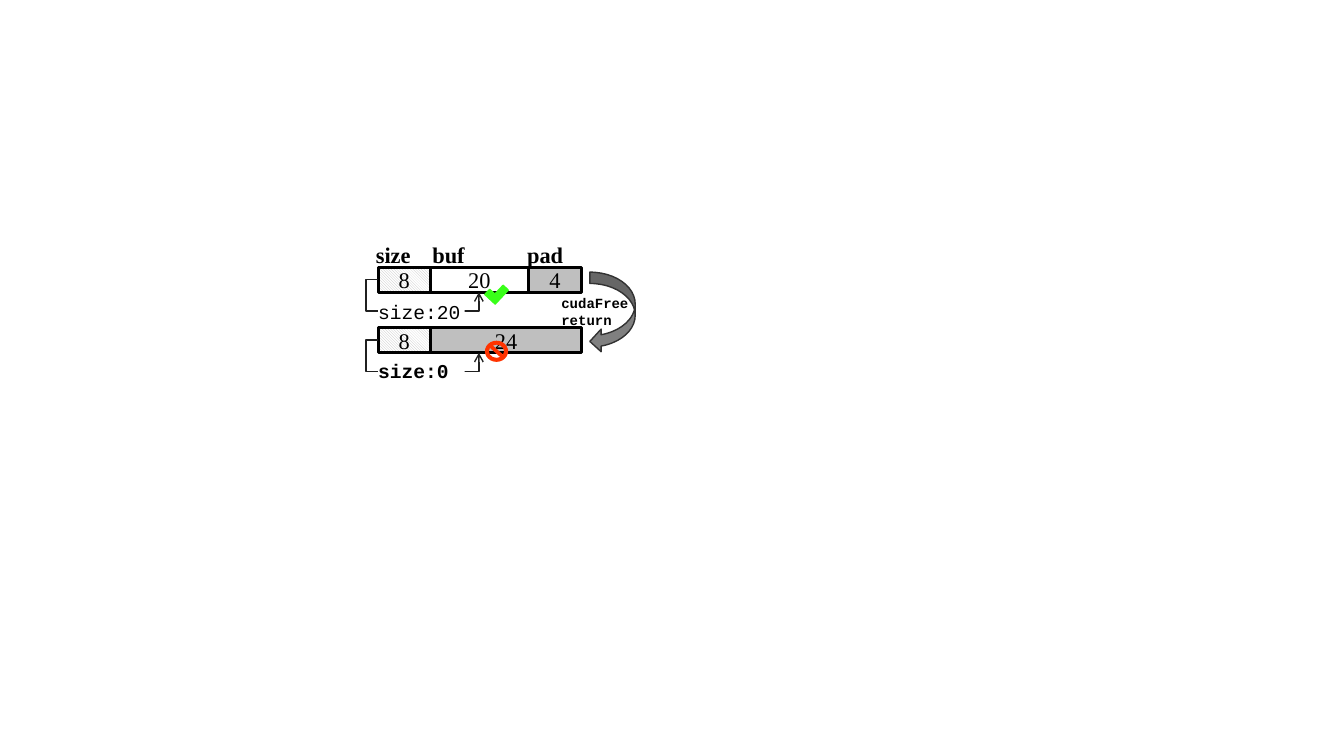
from lxml import etree
from pptx import Presentation
from pptx.dml.color import RGBColor
from pptx.enum.dml import MSO_PATTERN
from pptx.enum.shapes import MSO_CONNECTOR, MSO_SHAPE
from pptx.enum.text import MSO_ANCHOR, PP_ALIGN
from pptx.oxml.ns import qn
from pptx.util import Inches, Pt

BLACK = RGBColor(0x00, 0x00, 0x00)
WHITE = RGBColor(0xFF, 0xFF, 0xFF)
LIGHT_GRAY = RGBColor(0xBF, 0xBF, 0xBF)
MID_GRAY = RGBColor(0x80, 0x80, 0x80)
DARK_GRAY = RGBColor(0x32, 0x32, 0x32)
POINTER = RGBColor(0x20, 0x20, 0x20)
GREEN = RGBColor(0x39, 0xFF, 0x19)
RED = RGBColor(0xFF, 0x33, 0x00)

SERIF, MONO = "Times New Roman", "Courier New"
HATCHED = "hatched"

LEFT, TOP = 3.75, 2.65
ROW_HEIGHT, ROW_PITCH = 0.25, 0.6
SIZE_WIDTH, BUF_WIDTH, PAD_WIDTH = 0.52, 0.97, 0.53


def add_shape(page, kind, box, fill, line=None, weight=1):
    shape = page.shapes.add_shape(kind, *map(Inches, box))
    shape.shadow.inherit = False
    if fill == HATCHED:
        shape.fill.patterned()
        shape.fill.pattern = MSO_PATTERN.LIGHT_DOWNWARD_DIAGONAL
        shape.fill.fore_color.rgb = LIGHT_GRAY
        shape.fill.back_color.rgb = WHITE
    else:
        shape.fill.solid()
        shape.fill.fore_color.rgb = fill
    if line is None:
        shape.line.fill.background()
    else:
        shape.line.color.rgb = line
        shape.line.width = Pt(weight)
    return shape


def write(shape, lines, size, font, bold=False, align=PP_ALIGN.LEFT):
    frame = shape.text_frame
    frame.word_wrap = True
    frame.text = "\n".join(lines)
    for para in frame.paragraphs:
        para.alignment = align
        para.font.size = Pt(size)
        para.font.name = font
        para.font.bold = bold
        para.font.color.rgb = BLACK


def add_text(page, box, lines, size, font):
    write(page.shapes.add_textbox(*map(Inches, box)), lines, size, font, bold=True)


def add_pointer(page, left, top):
    """Arrow from the size cell, round below the row, up to the buffer's edge."""
    pointer = page.shapes.add_connector(
        MSO_CONNECTOR.ELBOW, Inches(left), Inches(top + ROW_HEIGHT / 2),
        Inches(left + 1), Inches(top + ROW_HEIGHT))
    pointer.line.color.rgb = POINTER
    pointer.line.width = Pt(1)
    properties = pointer._element.spPr
    geometry = properties.find(qn("a:prstGeom"))
    geometry.set("prst", "bentConnector4")
    guides = geometry.get_or_add_avLst()
    for name, value in (("adj1", -12000), ("adj2", 247000)):
        etree.SubElement(guides, qn("a:gd"), name=name, fmla=f"val {value}")
    etree.SubElement(properties.find(qn("a:ln")), qn("a:tailEnd"), type="arrow")
    etree.SubElement(properties, qn("a:effectLst"))


def add_memory_row(page, left, top, cells, label, label_drop, bold):
    cell_left = left
    for text, width, fill in cells:
        cell = add_shape(page, MSO_SHAPE.RECTANGLE,
                         (cell_left, top, width, ROW_HEIGHT), fill, BLACK, 2)
        cell.text_frame.vertical_anchor = MSO_ANCHOR.MIDDLE
        write(cell, [text], 16, SERIF, align=PP_ALIGN.CENTER)
        cell_left += width
    add_pointer(page, left, top)
    tag = add_shape(page, MSO_SHAPE.RECTANGLE,
                    (left, top + label_drop, 0.86, 0.24), WHITE)
    frame = tag.text_frame
    frame.margin_left = frame.margin_right = frame.margin_top = frame.margin_bottom = 0
    frame.vertical_anchor = MSO_ANCHOR.TOP
    write(tag, [label], 14, MONO, bold)


def add_headings(page, left, top):
    for text, offset, width in (("size", -0.12, 0.6), ("buf", 0.44, 0.56),
                                ("pad", 1.38, 0.74)):
        add_text(page, (left + offset, top - 0.31, width, 0.37), [text], 16, SERIF)


def add_marks(page, left, top):
    add_shape(page, MSO_SHAPE.NO_SYMBOL,
              (left + 1.06, top + ROW_PITCH + 0.13, 0.23, 0.21), RED)
    check = add_shape(page, MSO_SHAPE.CORNER,
                      (left + 1.08, top + 0.18, 0.19, 0.14), GREEN, GREEN)
    check.rotation = 313


def add_free_step(page, left, top):
    add_shape(page, MSO_SHAPE.CURVED_LEFT_ARROW,
              (left + 2.1, top + 0.05, 0.45, 0.8), MID_GRAY, DARK_GRAY)
    add_text(page, (left + 1.72, top + 0.22, 1.74, 0.44),
             ["cudaFree", "return"], 10, MONO)


def main():
    deck = Presentation()
    deck.slide_width, deck.slide_height = Inches(13.33), Inches(7.5)
    page = deck.slides.add_slide(deck.slide_layouts[6])
    size_cell = ("8", SIZE_WIDTH, HATCHED)
    allocated = [size_cell, ("20", BUF_WIDTH, WHITE), ("4", PAD_WIDTH, LIGHT_GRAY)]
    freed = [size_cell, ("24", BUF_WIDTH + PAD_WIDTH, LIGHT_GRAY)]
    add_headings(page, LEFT, TOP)
    add_memory_row(page, LEFT, TOP, allocated, "size:20", 0.33, False)
    add_memory_row(page, LEFT, TOP + ROW_PITCH, freed, "size:0", 0.31, True)
    add_marks(page, LEFT, TOP)
    add_free_step(page, LEFT, TOP)
    deck.save("out.pptx")


if __name__ == "__main__":
    main()
